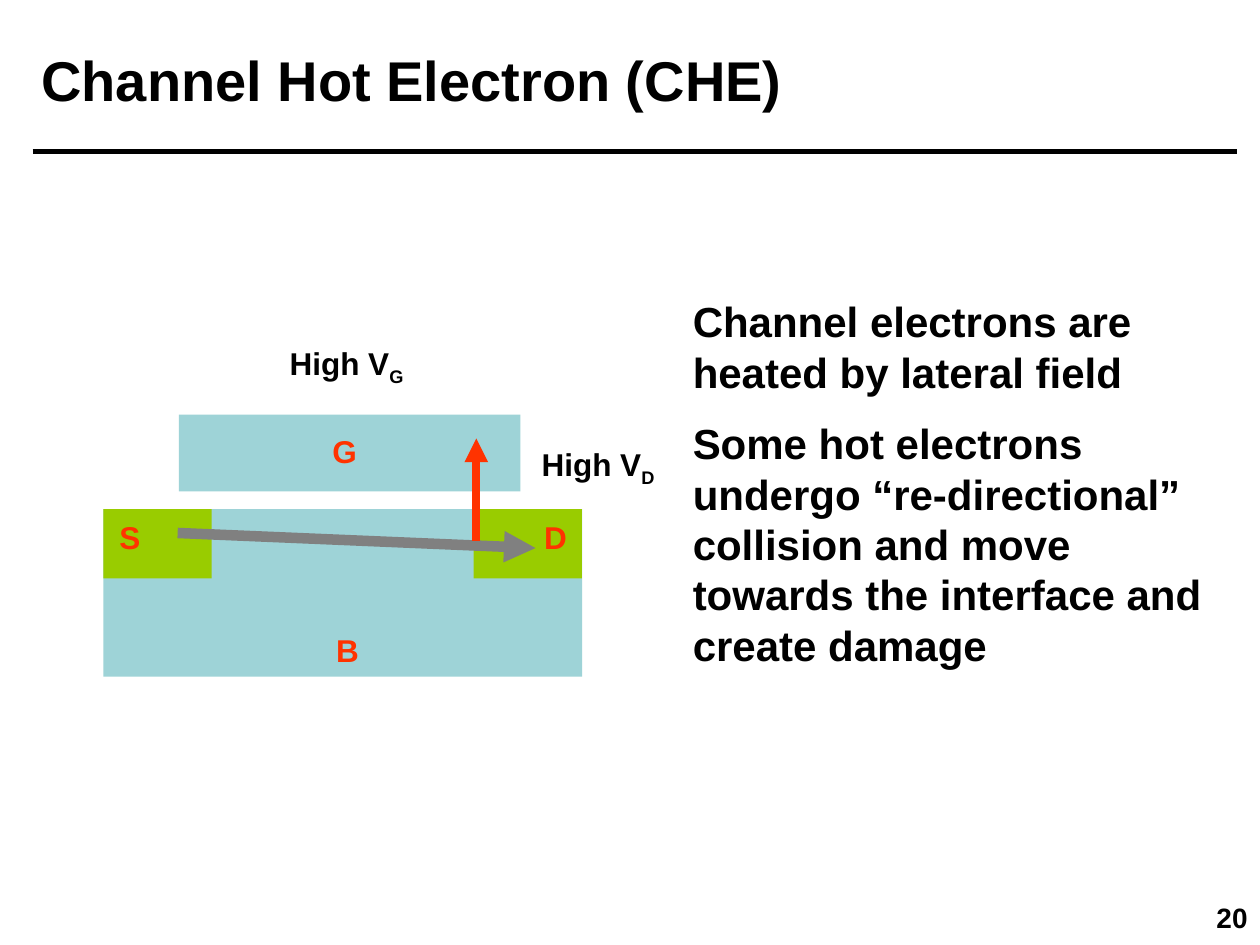
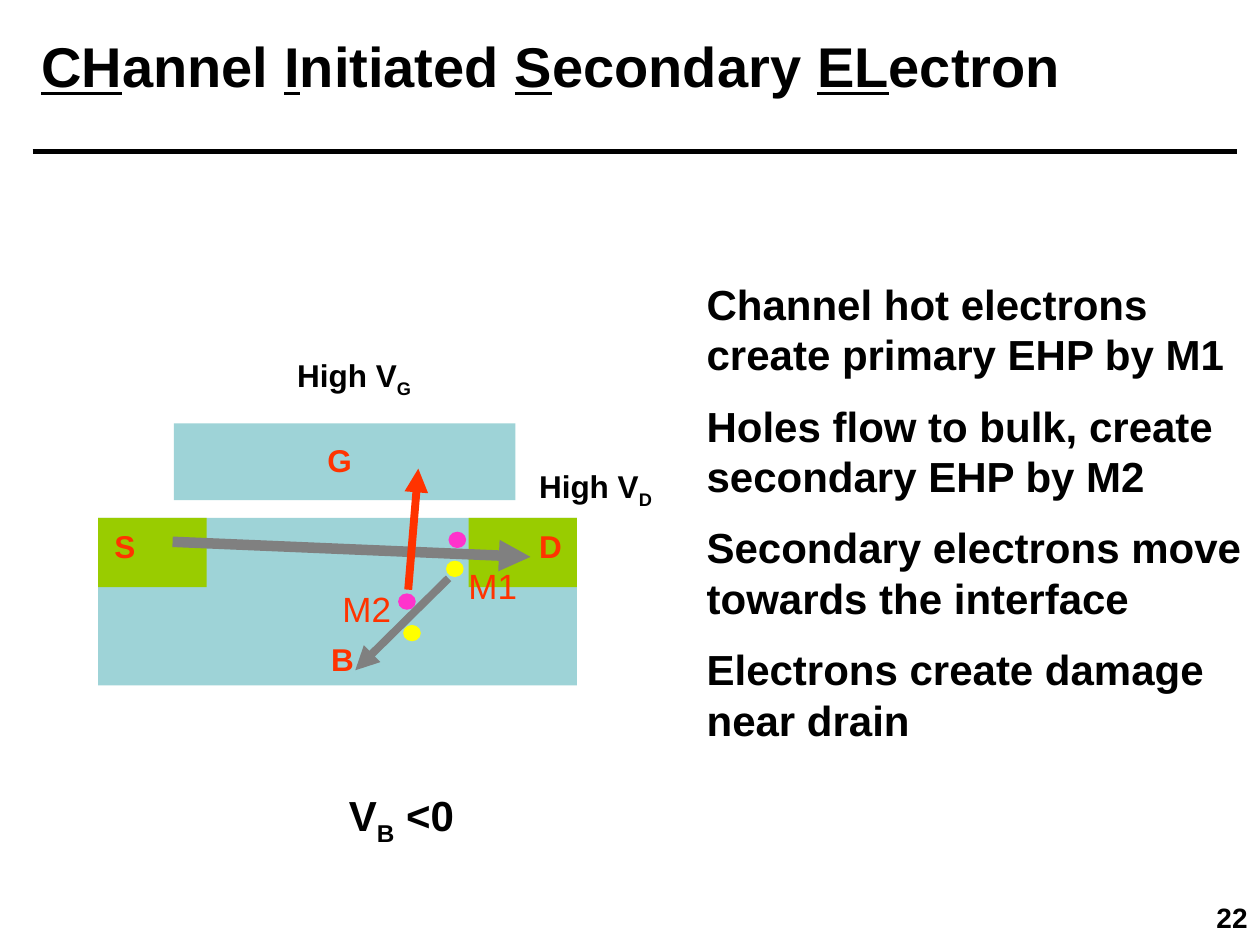
from typing import NamedTuple

from lxml.etree import SubElement
from pptx import Presentation
from pptx.dml.color import RGBColor
from pptx.enum.shapes import MSO_CONNECTOR, MSO_SHAPE
from pptx.enum.text import MSO_AUTO_SIZE, PP_ALIGN
from pptx.oxml.ns import qn
from pptx.util import Inches, Pt

FONT = "Arial"
BLACK, GRAY, RED = "000000", "808080", "FF3300"
SILICON, JUNCTION = "9ED3D7", "99CC00"
ELECTRON, HOLE = "FF33CC", "FFFF00"


class Run(NamedTuple):
    text: str
    underline: bool = False
    subscript: bool = False


class Box(NamedTuple):
    x: float
    y: float
    w: float
    h: float


class Text(NamedTuple):
    box: Box
    paragraphs: list[list[Run]]
    size: int
    color: str = BLACK
    bold: bool = True
    wrap: bool = True
    grow: bool = True
    align: PP_ALIGN = PP_ALIGN.LEFT


class Shape(NamedTuple):
    box: Box
    fill: str
    kind: MSO_SHAPE = MSO_SHAPE.RECTANGLE


class Line(NamedTuple):
    x1: float
    y1: float
    x2: float
    y2: float
    color: str
    width: float
    arrow: bool = True


def rgb(color: str) -> RGBColor:
    return RGBColor.from_string(color)


def plain(*texts: str) -> list[list[Run]]:
    return [[Run(text)] for text in texts]


def draw_text(s, t: Text) -> None:
    tf = s.shapes.add_textbox(*map(Inches, t.box)).text_frame
    tf.word_wrap = t.wrap
    tf.auto_size = MSO_AUTO_SIZE.SHAPE_TO_FIT_TEXT if t.grow else MSO_AUTO_SIZE.NONE
    for i, runs in enumerate(t.paragraphs):
        p = tf.add_paragraph() if i else tf.paragraphs[0]
        p.alignment = t.align
        p.space_before = Pt(t.size / 2 if i else 0)
        p.font.name, p.font.size, p.font.bold = FONT, Pt(t.size), t.bold
        p.font.color.rgb = rgb(t.color)
        for run in runs:
            r = p.add_run()
            r.text = run.text
            if run.underline:
                r.font.underline = True
            if run.subscript:
                r._r.get_or_add_rPr().set("baseline", "-25000")


def draw_shape(s, shape: Shape) -> None:
    sp = s.shapes.add_shape(shape.kind, *map(Inches, shape.box))
    sp.shadow.inherit = False
    sp.fill.solid()
    sp.fill.fore_color.rgb = rgb(shape.fill)
    sp.line.fill.background()


def draw_line(s, line: Line) -> None:
    ends = map(Inches, (line.x1, line.y1, line.x2, line.y2))
    c = s.shapes.add_connector(MSO_CONNECTOR.STRAIGHT, *ends)
    c.line.color.rgb = rgb(line.color)
    c.line.width = Pt(line.width)
    if line.arrow:
        SubElement(c.line._get_or_add_ln(), qn("a:tailEnd"), type="triangle")
    SubElement(c._element.spPr, qn("a:effectLst"))


def draw_transistor(s, x: float, y: float) -> None:
    for dx, dy, w, h, fill in (
        (0, 0, 3.8, 1.33, SILICON),
        (0, 0, 0.86, 0.55, JUNCTION),
        (2.94, 0, 0.86, 0.55, JUNCTION),
        (0.6, -0.75, 2.71, 0.61, SILICON),
    ):
        draw_shape(s, Shape(Box(x + dx, y + dy, w, h), fill))
    for name, dx, dy in (("S", 0.03, 0.02), ("D", 3.4, 0.02), ("G", 1.72, -0.66), ("B", 1.75, 0.92)):
        draw_text(s, Text(Box(x + dx, y + dy, 0.6, 0.55), plain(name), 18, RED, grow=False))
    draw_line(s, Line(x + 0.59, y + 0.19, x + 3.43, y + 0.31, GRAY, 6))


def draw_voltage(s, terminal: str, x: float, y: float) -> None:
    runs = [Run("High V"), Run(terminal, subscript=True)]
    draw_text(s, Text(Box(x, y, 1.12, 0.4), [runs], 18, wrap=False))


def add_slide(prs, title: list[Run], title_y: float, number: int):
    s = prs.slides.add_slide(prs.slide_layouts[6])
    draw_text(s, Text(Box(0.23, title_y, 9.77, 0.64), [title], 32))
    draw_line(s, Line(0.26, 1.2, 9.82, 1.2, BLACK, 3, arrow=False))
    draw_text(s, Text(Box(7.67, 7.1, 2.33, 0.4), plain(str(number)), 16, grow=False, align=PP_ALIGN.RIGHT))
    return s


def add_hot_electron(prs) -> None:
    s = add_slide(prs, [Run("Channel Hot Electron (CHE)")], 0.31, 20)
    draw_text(s, Text(Box(5.4, 2.3, 4.24, 3.13), plain(
        "Channel electrons are heated by lateral field",
        "Some hot electrons undergo “re-directional” collision and move "
        "towards the interface and create damage",
    ), 24))
    draw_transistor(s, 0.82, 4.04)
    draw_line(s, Line(3.78, 4.29, 3.78, 3.48, RED, 4.5))
    draw_voltage(s, "D", 4.2, 3.48)
    draw_voltage(s, "G", 2.2, 2.68)


def add_secondary_electron(prs) -> None:
    title = [
        Run("CH", underline=True), Run("annel "),
        Run("I", underline=True), Run("nitiated "),
        Run("S", underline=True), Run("econdary "),
        Run("EL", underline=True), Run("ectron"),
    ]
    s = add_slide(prs, title, 0.2, 22)
    draw_transistor(s, 0.78, 4.11)
    for x, y, fill in (
        (3.56, 4.22, ELECTRON),
        (3.16, 4.71, ELECTRON),
        (3.54, 4.45, HOLE),
        (3.2, 4.96, HOLE),
    ):
        draw_shape(s, Shape(Box(x, y, 0.14, 0.13), fill, MSO_SHAPE.OVAL))
    draw_line(s, Line(3.56, 4.59, 2.82, 5.32, GRAY, 4.5))
    draw_line(s, Line(3.24, 4.68, 3.32, 3.72, RED, 4.5))
    for name, x, y in (("M1", 3.62, 4.43), ("M2", 2.62, 4.61)):
        draw_text(s, Text(Box(x, y, 0.9, 0.43), plain(name), 20, RED, bold=False))
    draw_text(s, Text(Box(5.51, 2.16, 4.49, 3.94), plain(
        "Channel hot electrons create primary EHP by M1",
        "Holes flow to bulk, create secondary EHP by M2",
        "Secondary electrons move towards the interface",
        "Electrons create damage near drain",
    ), 24))
    bulk_bias = [Run("V"), Run("B", subscript=True), Run(" <0")]
    draw_text(s, Text(Box(2.67, 6.22, 1.07, 0.5), [bulk_bias], 24, wrap=False))
    draw_voltage(s, "D", 4.18, 3.66)
    draw_voltage(s, "G", 2.26, 2.78)


def main() -> None:
    prs = Presentation()
    prs.slide_width, prs.slide_height = Inches(10), Inches(7.5)
    add_hot_electron(prs)
    add_secondary_electron(prs)
    prs.save("out.pptx")


if __name__ == "__main__":
    main()
